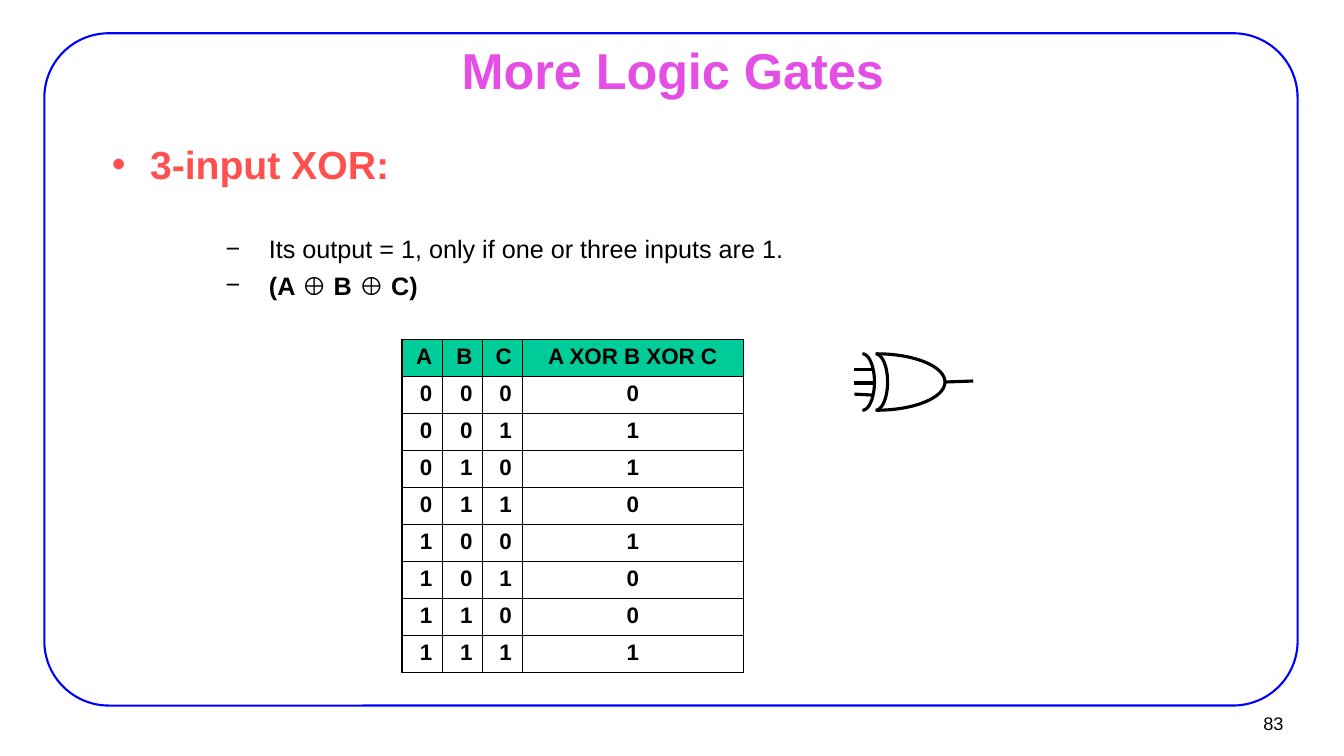
from math import cos, pi, sin

from lxml.etree import SubElement
from pptx import Presentation
from pptx.dml.color import RGBColor
from pptx.enum.shapes import MSO_CONNECTOR, MSO_SHAPE
from pptx.enum.text import MSO_ANCHOR as Anchor, PP_ALIGN as Align
from pptx.oxml.ns import qn
from pptx.util import Inches, Pt

BLACK = RGBColor(0x00, 0x00, 0x00)
BLUE = RGBColor(0x00, 0x00, 0xFF)
PINK = RGBColor(0xE4, 0x4E, 0xE4)
CORAL = RGBColor(0xFF, 0x50, 0x50)
GREEN = RGBColor(0x00, 0xCC, 0x99)
FONT = "Arial"

# Content
TITLE = "More Logic Gates"
PAGE_NUMBER = "83"
HEADING = "3-input XOR:"
RULE = "Its output = 1, only if one or three inputs are 1."
FORMULA = [("(A ", True), ("⊕", False), (" B ", True), ("⊕", False), (" C)", True)]
HEADER = ("A", "B", "C", "A XOR B XOR C")
INPUTS = [(a, b, c) for a in (0, 1) for b in (0, 1) for c in (0, 1)]
TRUTH_TABLE = [HEADER] + [(a, b, c, a ^ b ^ c) for a, b, c in INPUTS]

# Layout, in inches
TABLE_LEFT, TABLE_TOP, ROW_HEIGHT = 3.99, 3.37, 0.367
COLUMN_WIDTHS = (0.4, 0.4, 0.39, 2.2)
GATE_MIDDLE, GATE_HALF_HEIGHT = 3.79, 0.28
GATE_ARCS = ((8.70, 0.68), (8.69, 0.12), (8.56, 0.12))  # left edge, depth
GATE_WIRES = (
    (8.48, 3.67, 8.67, 3.67),
    (8.48, 3.80, 8.67, 3.80),
    (8.48, 3.91, 8.67, 3.92),
    (9.38, 3.79, 9.66, 3.78),
)
ARC_STEPS = 16

prs = Presentation()
prs.slide_width, prs.slide_height = Inches(13.34), Inches(7.5)
slide = prs.slides.add_slide(prs.slide_layouts[6])
shapes = slide.shapes


def write(paragraph, text, size=18, color=BLACK, bold=False, align=Align.LEFT,
          before=0, level=0, bullet=None, margin=0, hanging=0):
    """Fill a paragraph with a string or a list of (text, bold) runs."""
    paragraph.alignment = align
    paragraph.space_before = Pt(before)
    paragraph.level = level
    if bullet:
        props = paragraph._p.get_or_add_pPr()
        props.set("marL", str(Inches(margin)))
        props.set("indent", str(-Inches(hanging)))
        bullet_color = SubElement(props, qn("a:buClr"))
        SubElement(bullet_color, qn("a:srgbClr"), val=str(color))
        SubElement(props, qn("a:buFont"), typeface=FONT)
        SubElement(props, qn("a:buChar"), char=bullet)
    for part, part_bold in [(text, bold)] if isinstance(text, str) else text:
        run = paragraph.add_run()
        run.text = part
        run.font.name, run.font.size = FONT, Pt(size)
        run.font.bold, run.font.color.rgb = part_bold, color


def add_frame(left, top, width, height, anchor=Anchor.TOP, inset_x=0.11, inset_y=0.06):
    frame = shapes.add_textbox(*map(Inches, (left, top, width, height))).text_frame
    frame.word_wrap = True
    frame.vertical_anchor = anchor
    frame.margin_left = frame.margin_right = Inches(inset_x)
    frame.margin_top = frame.margin_bottom = Inches(inset_y)
    return frame


def set_border(cell, side, points):
    line = SubElement(cell._tc.get_or_add_tcPr(), qn(f"a:ln{side}"), w=str(Pt(points)))
    SubElement(SubElement(line, qn("a:solidFill")), qn("a:srgbClr"), val=str(BLACK))


def set_gate_line(part):
    part.line.color.rgb = BLACK
    part.line.width = Pt(2.25)


# Rounded page border
border = shapes.add_shape(MSO_SHAPE.ROUNDED_RECTANGLE,
                          *map(Inches, (0.44, 0.33, 12.44, 6.67)))
border.adjustments[0] = 0.096
border.shadow.inherit = False
border.fill.background()
border.line.color.rgb = BLUE
border.line.width = Pt(1.5)

# Page number, title and bullets
page = add_frame(12.02, 6.99, 0.81, 0.37, Anchor.MIDDLE, 0.09, 0.04)
write(page.paragraphs[0], PAGE_NUMBER, size=13, align=Align.RIGHT)
title = add_frame(1.01, 0.44, 11.34, 0.49, Anchor.MIDDLE)
write(title.paragraphs[0], TITLE, size=36, color=PINK, bold=True, align=Align.CENTER)
body = add_frame(1, 1.33, 11.33, 5.08)
write(body.paragraphs[0], HEADING, size=28, color=CORAL, bold=True, before=7,
      bullet="•", margin=0.38, hanging=0.38)
for point, gap in ((RULE, 33), (FORMULA, 4.5)):
    write(body.add_paragraph(), point, before=gap, level=2,
          bullet="−", margin=1.56, hanging=0.43)

# Truth table
last_row, last_column = len(TRUTH_TABLE) - 1, len(HEADER) - 1
table = shapes.add_table(
    len(TRUTH_TABLE), len(HEADER), Inches(TABLE_LEFT), Inches(TABLE_TOP),
    Inches(sum(COLUMN_WIDTHS)), Inches(ROW_HEIGHT * len(TRUTH_TABLE))).table
table.first_row = table.horz_banding = False
for column, width in zip(table.columns, COLUMN_WIDTHS):
    column.width = Inches(width)
for r, values in enumerate(TRUTH_TABLE):
    table.rows[r].height = Inches(ROW_HEIGHT)
    for c, value in enumerate(values):
        cell = table.cell(r, c)
        cell.margin_left = cell.margin_right = Inches(0.1)
        cell.margin_top = cell.margin_bottom = Inches(0.05)
        outer = {"L": c == 0, "R": c == last_column, "T": r == 0, "B": r == last_row}
        for side, is_outer in outer.items():
            set_border(cell, side, 1.08 if is_outer else 0.45)
        if r == 0:
            cell.fill.solid()
            cell.fill.fore_color.rgb = GREEN
        else:
            cell.fill.background()
        write(cell.text_frame.paragraphs[0], str(value), size=16, bold=True, before=4,
              align=Align.CENTER if c == last_column else Align.RIGHT)

# XOR gate: each curve is an upper and a lower quarter ellipse
for left, depth in GATE_ARCS:
    for direction in (-1, 1):
        angles = [pi / 2 * step / ARC_STEPS for step in range(ARC_STEPS + 1)]
        points = [(Inches(left + depth * sin(angle)),
                   Inches(GATE_MIDDLE + direction * GATE_HALF_HEIGHT * cos(angle)))
                  for angle in angles]
        builder = shapes.build_freeform(*points[0])
        builder.add_line_segments(points[1:], close=False)
        arc = builder.convert_to_shape()
        arc.shadow.inherit = False
        arc.fill.background()
        set_gate_line(arc)

for ends in GATE_WIRES:
    wire = shapes.add_connector(MSO_CONNECTOR.STRAIGHT, *map(Inches, ends))
    set_gate_line(wire)
    SubElement(wire._element.spPr, qn("a:effectLst"))

prs.save("out.pptx")
